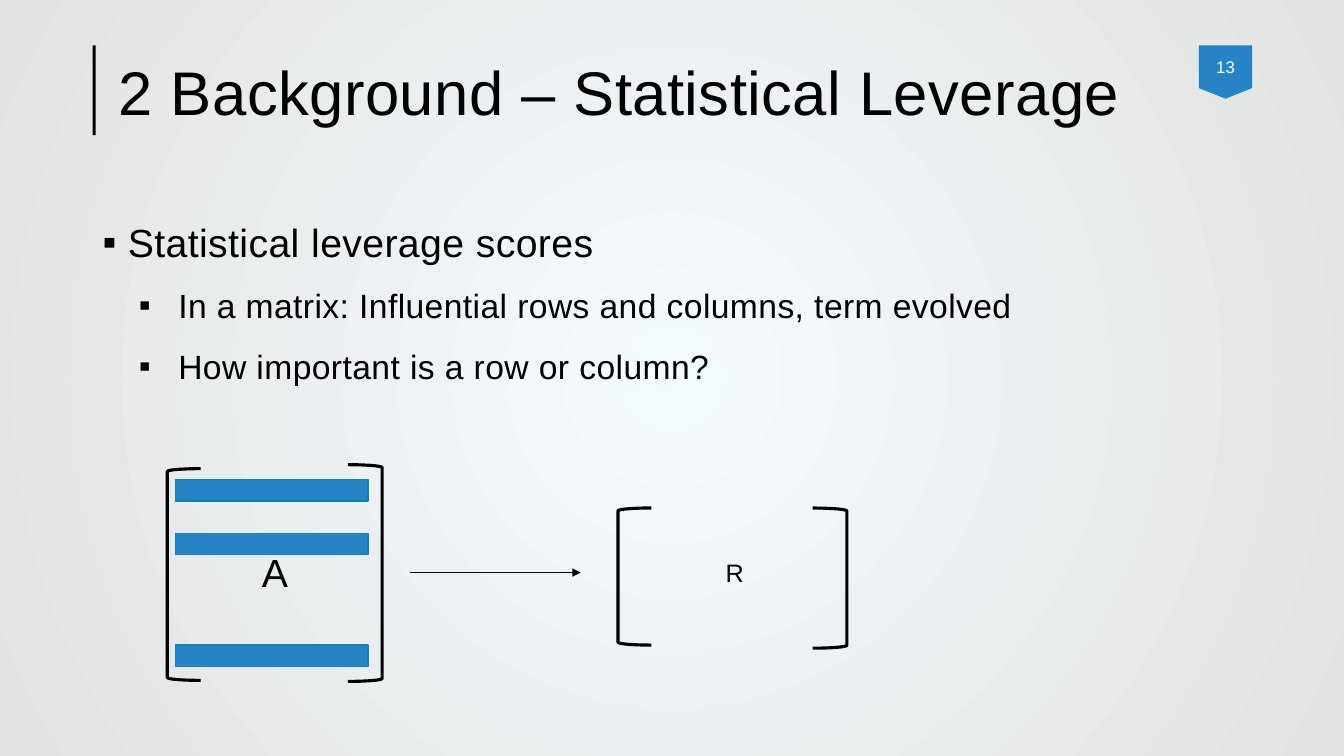
"""Builds the slide on statistical leverage scores."""
import pptx
import pptx.dml.color
import pptx.enum.shapes
import pptx.enum.text
import pptx.oxml
import pptx.oxml.ns
import pptx.util
from pptx.util import Inches

RGBColor = pptx.dml.color.RGBColor
SHAPE = pptx.enum.shapes.MSO_SHAPE
ALIGN = pptx.enum.text.PP_ALIGN
ANCHOR = pptx.enum.text.MSO_ANCHOR
BLACK = RGBColor(0x00, 0x00, 0x00)
WHITE = RGBColor(0xFF, 0xFF, 0xFF)
BLUE = RGBColor(0x26, 0x83, 0xC6)
BLUE_EDGE = RGBColor(0x15, 0x80, 0xA9)
CENTER_GLOW = RGBColor(0xF4, 0xFB, 0xFE)
EDGE_GRAY = RGBColor(0xE2, 0xE2, 0xE2)
NAMESPACE = pptx.oxml.ns.nsdecls("a")

deck = pptx.Presentation()
deck.slide_width, deck.slide_height = Inches(13.33), Inches(7.5)
page = deck.slides.add_slide(deck.slide_layouts[6])

background = page.background.fill
background.gradient()
for stop, color, position in zip(background.gradient_stops, (CENTER_GLOW, EDGE_GRAY), (0, 1)):
    stop.color.rgb = color
    stop.position = position
linear = page.background._cSld.find(".//" + pptx.oxml.ns.qn("a:lin"))
linear.getparent().replace(linear, pptx.oxml.parse_xml(
    f'<a:path {NAMESPACE} path="circle">'
    '<a:fillToRect l="50000" t="50000" r="50000" b="50000"/></a:path>'))


def add_figure(kind, left, top, width, height, fill=None, edge=None, weight=1):
    figure = page.shapes.add_shape(kind, Inches(left), Inches(top), Inches(width), Inches(height))
    figure.shadow.inherit = False
    if fill is None:
        figure.fill.background()
    else:
        figure.fill.solid()
        figure.fill.fore_color.rgb = fill
    if edge is None:
        figure.line.fill.background()
    else:
        figure.line.color.rgb = edge
        figure.line.width = pptx.util.Pt(weight)
    return figure


def add_words(para, words, size, color=BLACK, spacing=0):
    span = para.add_run()
    span.text = words
    span.font.name = "Arial"
    span.font.size = pptx.util.Pt(size)
    span.font.color.rgb = color
    if spacing:
        span.font._element.set("spc", str(spacing))


add_figure(SHAPE.RECTANGLE, 0.92, 0.45, 0.03, 0.89, fill=BLACK)
badge = add_figure(SHAPE.FLOWCHART_OFFPAGE_CONNECTOR, 11.89, 0.45, 0.53, 0.53, fill=BLUE)
badge.text_frame.margin_left = badge.text_frame.margin_right = 0
badge.text_frame.vertical_anchor = ANCHOR.MIDDLE
badge.text_frame.paragraphs[0].alignment = ALIGN.CENTER
add_words(badge.text_frame.paragraphs[0], "13", 12, WHITE)

title = page.shapes.add_textbox(Inches(1.08), Inches(0.45), Inches(10.81), Inches(1)).text_frame
title.word_wrap = True
title.vertical_anchor = ANCHOR.MIDDLE
title.paragraphs[0].line_spacing = 0.9
add_words(title.paragraphs[0], "2 Background – Statistical Leverage", 44, spacing=30)

body = page.shapes.add_textbox(Inches(0.92), Inches(2), Inches(11.5), Inches(4.76)).text_frame
body.word_wrap = True
bullets = [
    (0, "Statistical leverage scores"),
    (1, "In a matrix: Influential rows and columns, term evolved"),
    (1, "How important is a row or column?"),
]
for index, (level, words) in enumerate(bullets):
    para = body.add_paragraph() if index else body.paragraphs[0]
    para.level = level
    para.line_spacing = 1.25
    para.space_before = pptx.util.Pt(5 if index else 0)
    para.space_after = pptx.util.Pt(2)
    margin, hanging = ((0.25, 0.25), (0.75, 0.39))[level]
    properties = para._p.get_or_add_pPr()
    properties.set("marL", str(Inches(margin)))
    properties.set("indent", str(-Inches(hanging)))
    properties.append(pptx.oxml.parse_xml(f'<a:buFont {NAMESPACE} typeface="Arial"/>'))
    properties.append(pptx.oxml.parse_xml(f'<a:buChar {NAMESPACE} char="▪"/>'))
    add_words(para, words, (28, 24)[level], spacing=30)

for bar_top in (4.76, 5.29, 6.4):
    add_figure(SHAPE.RECTANGLE, 1.74, bar_top, 1.91, 0.21, fill=BLUE, edge=BLUE_EDGE)

brackets = [
    (SHAPE.LEFT_BRACKET, 1.66, 4.65, 0.33, 2.1),
    (SHAPE.RIGHT_BRACKET, 3.45, 4.61, 0.34, 2.15),
    (SHAPE.LEFT_BRACKET, 6.13, 5.04, 0.33, 1.36),
    (SHAPE.RIGHT_BRACKET, 8.06, 5.04, 0.34, 1.39),
]
for bracket in brackets:
    add_figure(*bracket, edge=BLACK, weight=2.25)

matrix_names = [("A", 28, 2.5, 5.39, 0.44, 0.57), ("R", 18, 7.1, 5.48, 0.37, 0.4)]
for name, size, left, top, width, height in matrix_names:
    box = page.shapes.add_textbox(Inches(left), Inches(top), Inches(width), Inches(height))
    box.text_frame.word_wrap = False
    add_words(box.text_frame.paragraphs[0], name, size)

arrow = page.shapes.add_connector(
    pptx.enum.shapes.MSO_CONNECTOR.STRAIGHT,
    Inches(4.07), Inches(5.68), Inches(5.76), Inches(5.68))
arrow.line.color.rgb = BLACK
arrow.line.width = pptx.util.Pt(1)
arrow.line._get_or_add_ln().append(
    pptx.oxml.parse_xml(f'<a:tailEnd {NAMESPACE} type="triangle"/>'))
arrow._element.spPr.append(pptx.oxml.parse_xml(f"<a:effectLst {NAMESPACE}/>"))

deck.save("out.pptx")
